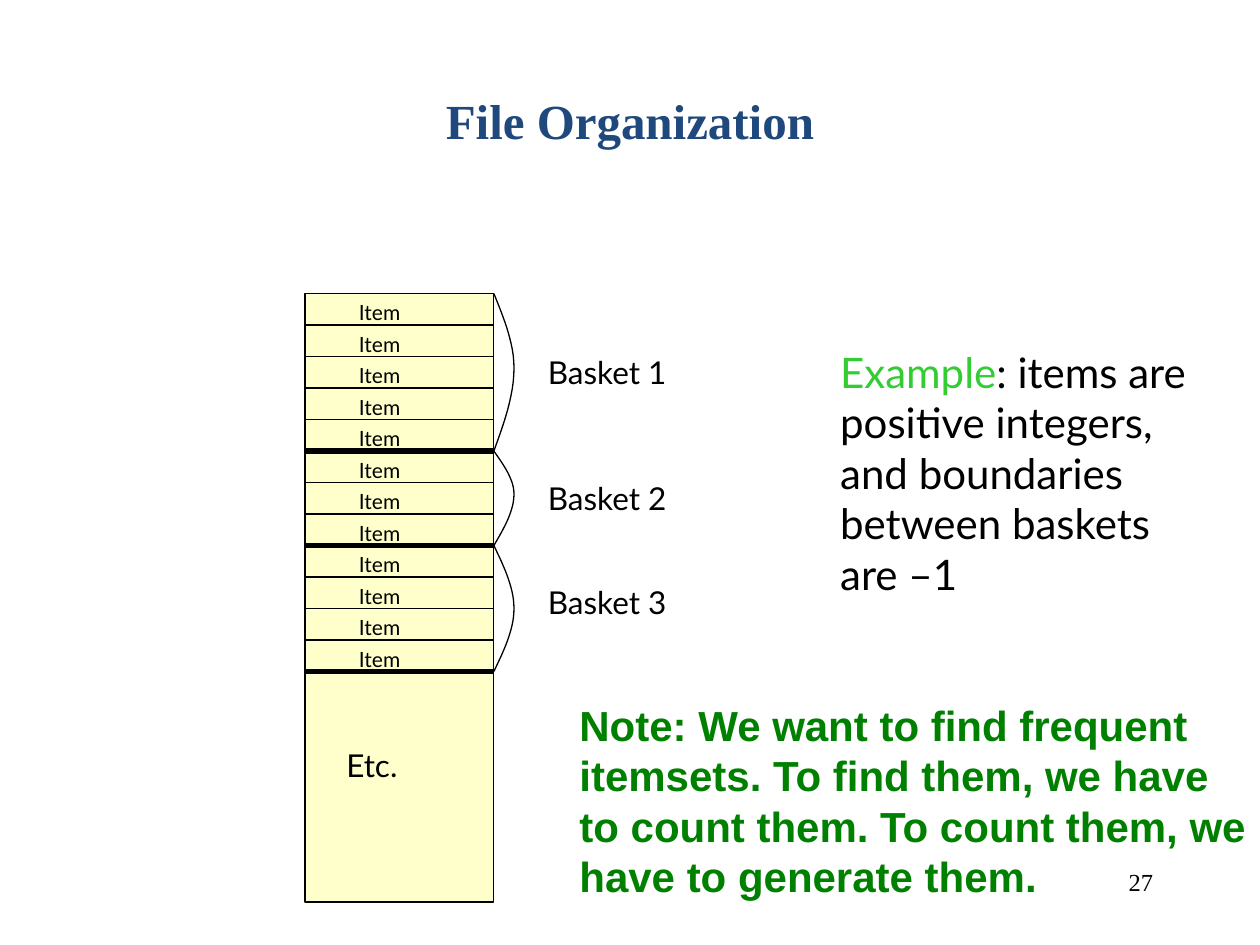
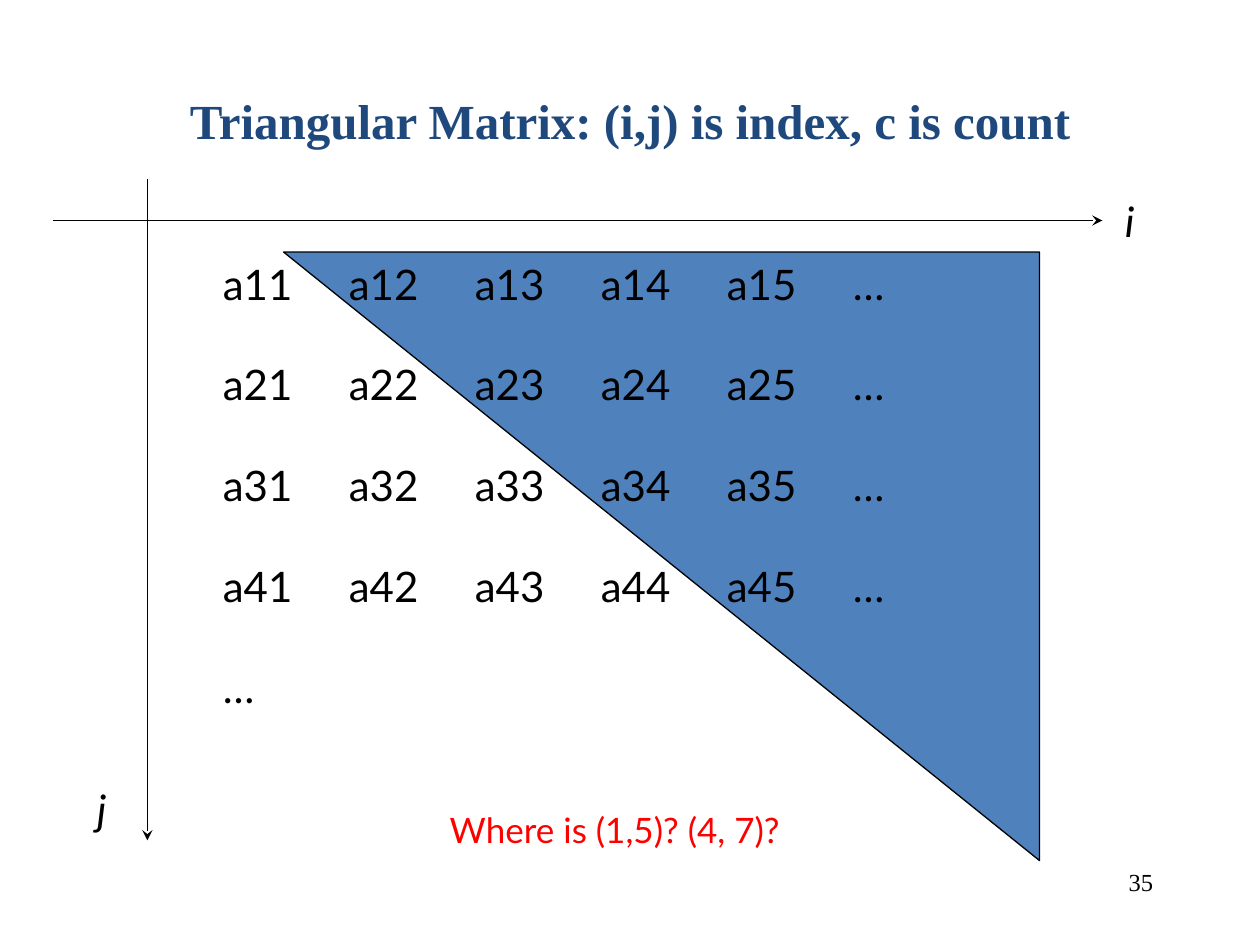
from lxml import etree
from pptx import Presentation
from pptx import util as u
from pptx.dml import color
from pptx.enum import shapes, text
from pptx.oxml import ns

BLACK, NAVY, GREEN, LIME, RED = "000000", "1F497D", "008000", "33CC33", "FF0000"
PALE_YELLOW, BLUE = "FFFF99", "4F81BD"
SERIF, SANS, BOLD_SANS = "Times New Roman", "Lato", "Arial"
rgb = color.RGBColor.from_string


def write(frame, paragraphs, size, font=SANS, hue=BLACK, bold=False, italic=False,
          align=text.PP_ALIGN.LEFT, gap=0):
    frame.word_wrap = True
    for index, runs in enumerate(paragraphs):
        paragraph = frame.paragraphs[0] if index == 0 else frame.add_paragraph()
        paragraph.alignment = align
        paragraph.space_before = u.Pt(gap if index else 0)
        for words, run_hue in [(runs, hue)] if isinstance(runs, str) else runs:
            run = paragraph.add_run()
            run.text = words
            run.font.name = font
            run.font.size = u.Pt(size)
            run.font.bold = bold
            run.font.italic = italic
            run.font.color.rgb = rgb(run_hue)


def add_line(slide, start, end, width=0.75, arrow=False):
    line = slide.shapes.add_connector(
        shapes.MSO_CONNECTOR.STRAIGHT, *map(u.Inches, start + end))
    line.line.color.rgb = rgb(BLACK)
    line.line.width = u.Pt(width)
    if arrow:
        tail = etree.SubElement(line.line._get_or_add_ln(), ns.qn("a:tailEnd"))
        tail.set("type", "stealth")
    etree.SubElement(line._element.spPr, ns.qn("a:effectLst"))


presentation = Presentation()
presentation.slide_width = u.Inches(10)
presentation.slide_height = u.Inches(7.5)

slides = []
for heading, number in [("File Organization", "27"),
                        ("Triangular Matrix: (i,j) is index, c is count", "35")]:
    slide = presentation.slides.add_slide(presentation.slide_layouts[5])
    title = slide.shapes.title
    title.left, title.top, title.width, title.height = map(u.Inches, (0.75, 0.33, 8.5, 1.25))
    title.text_frame.vertical_anchor = text.MSO_ANCHOR.MIDDLE
    write(title.text_frame, [heading], 28, SERIF, NAVY, bold=True, align=text.PP_ALIGN.CENTER)
    page_number = slide.shapes.add_textbox(*map(u.Inches, (7.17, 6.83, 2.08, 0.5)))
    write(page_number.text_frame, [number], 14, SERIF, align=text.PP_ALIGN.RIGHT)
    slides.append(slide)
file_slide, matrix_slide = slides

left, right, top, row_height = 2.42, 3.92, 2.33, 0.25
file_box = file_slide.shapes.add_shape(
    shapes.MSO_SHAPE.RECTANGLE, *map(u.Inches, (left, top, right - left, 4.83)))
file_box.shadow.inherit = False
file_box.fill.solid()
file_box.fill.fore_color.rgb = rgb(PALE_YELLOW)
fill_color = file_box._element.spPr.find(ns.qn("a:solidFill"))[0]
etree.SubElement(fill_color, ns.qn("a:alpha")).set("val", "50000")
file_box.line.color.rgb = rgb(BLACK)
file_box.line.width = u.Pt(0.75)

bulge, steps = 0.16, 12
row = 0
for basket, (item_count, label_top, peak) in enumerate(
        [(5, 2.75, 0.59), (3, 3.75, 0.34), (4, 4.58, 0.5)], 1):
    basket_top = top + row * row_height
    for item in range(item_count):
        item_box = file_slide.shapes.add_textbox(
            *map(u.Inches, (2.75, top + row * row_height, 0.55, 0.3)))
        write(item_box.text_frame, ["Item"], 12)
        row += 1
        y = top + row * row_height
        add_line(file_slide, (left, y), (right, y), 3 if item == item_count - 1 else 0.75)

    label = file_slide.shapes.add_textbox(*map(u.Inches, (4.25, label_top, 1.15, 0.4)))
    write(label.text_frame, [f"Basket {basket}"], 18)

    basket_height = item_count * row_height
    points = []
    for step in range(steps + 1):
        t = step / steps
        reach = bulge * (1.5 * t * (1 - t) ** 2 + 3 * t ** 2 * (1 - t) + t ** 3)
        points.append((right + reach, basket_top + peak * t))
    for x, y in points[-2::-1]:
        share = (y - basket_top) / peak
        points.append((x, basket_top + basket_height - (basket_height - peak) * share))
    builder = file_slide.shapes.build_freeform(
        u.Inches(points[0][0]), u.Inches(points[0][1]))
    builder.add_line_segments(
        [(u.Inches(x), u.Inches(y)) for x, y in points[1:]], close=False)
    brace = builder.convert_to_shape()
    brace.shadow.inherit = False
    brace.fill.background()
    brace.line.color.rgb = rgb(BLACK)
    brace.line.width = u.Pt(0.75)

rest = file_slide.shapes.add_textbox(*map(u.Inches, (2.65, 5.87, 0.62, 0.4)))
write(rest.text_frame, ["Etc."], 18)
example = file_slide.shapes.add_textbox(*map(u.Inches, (6.57, 2.7, 3.06, 2.12)))
write(example.text_frame,
      [[("Example", LIME), (": items are", BLACK)], "positive integers,",
       "and boundaries", "between baskets", "are –1"], 24)
note = file_slide.shapes.add_textbox(*map(u.Inches, (4.5, 5.5, 5.52, 1.72)))
write(note.text_frame,
      ["Note: We want to find frequent itemsets. To find them, we have to count them. "
       "To count them, we have to generate them."], 24, BOLD_SANS, GREEN, bold=True)

triangle = matrix_slide.shapes.add_shape(
    shapes.MSO_SHAPE.RIGHT_TRIANGLE, *map(u.Inches, (2.25, 2, 6, 4.83)))
triangle.rotation = 180
triangle.shadow.inherit = False
triangle.fill.solid()
triangle.fill.fore_color.rgb = rgb(BLUE)
triangle.line.color.rgb = rgb(BLACK)
triangle.line.width = u.Pt(0.75)

matrix = matrix_slide.shapes.add_textbox(*map(u.Inches, (1.67, 2, 6.92, 3.74)))
matrix_rows = ["\t".join([f"a{i}{j}" for j in range(1, 6)] + ["…"]) for i in range(1, 5)]
write(matrix.text_frame, matrix_rows + ["…"], 24, gap=28.8)

add_line(matrix_slide, (0.42, 1.75), (8.75, 1.75), arrow=True)
add_line(matrix_slide, (1.17, 1.42), (1.17, 6.67), arrow=True)
for axis, box in [("j", (0.67, 6.17, 0.42, 0.5)), ("i", (8.83, 1.5, 0.38, 0.5))]:
    axis_label = matrix_slide.shapes.add_textbox(*map(u.Inches, box))
    write(axis_label.text_frame, [axis], 24, italic=True)
question = matrix_slide.shapes.add_textbox(*map(u.Inches, (3.47, 6.37, 3.02, 0.44)))
write(question.text_frame, ["Where is (1,5)? (4, 7)?"], 20, hue=RED)

presentation.save("out.pptx")
